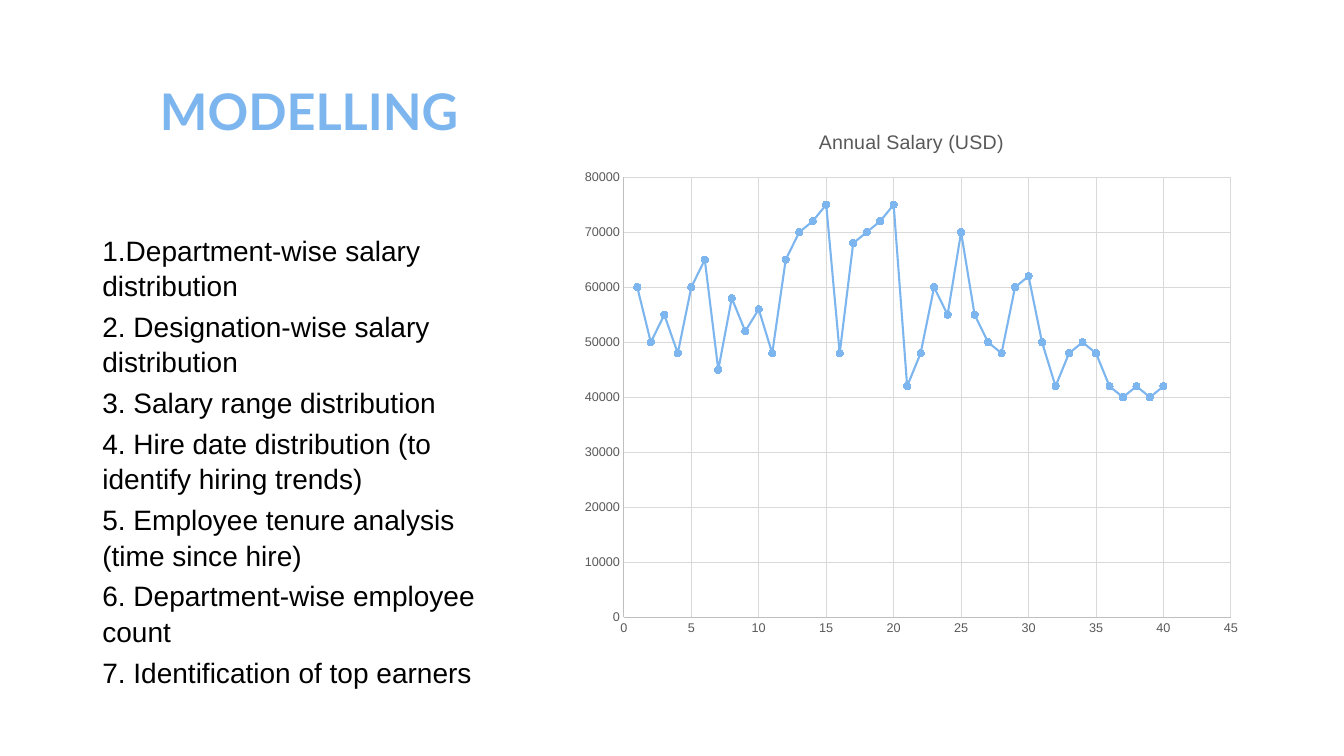
import pptx
import pptx.chart.data
import pptx.dml.color
import pptx.enum.chart
import pptx.enum.text
import pptx.util

SKY, GREY, AXIS, GRID, BLACK = "7DB6EF", "595959", "BFBFBF", "D9D9D9", "000000"
COLUMNS, ROWS = 16, 9

TOPICS = [
    "1.Department-wise salary distribution",
    "2. Designation-wise salary distribution",
    "3. Salary range distribution",
    "4. Hire date distribution (to identify hiring trends)",
    "5. Employee tenure analysis (time since hire)",
    "6. Department-wise employee count",
    "7. Identification of top earners",
]
# Salaries in thousands of dollars, one per employee
SALARIES = [
    60, 50, 55, 48, 60, 65, 45, 58, 52, 56, 48, 65, 70, 72, 75, 48, 68, 70, 72, 75,
    42, 48, 60, 55, 70, 55, 50, 48, 60, 62, 50, 42, 48, 50, 48, 42, 40, 42, 40, 42,
]


def rgb(value):
    return pptx.dml.color.RGBColor.from_string(value)


class SlideBuilder:
    """Holds the slide and its style; places are in grid columns and rows."""

    def __init__(self, presentation):
        self.column = presentation.slide_width / COLUMNS
        self.row = presentation.slide_height / ROWS
        self.slide = presentation.slides.add_slide(presentation.slide_layouts[6])

    def place(self, left, top, width, height):
        return (round(left * self.column), round(top * self.row),
                round(width * self.column), round(height * self.row))

    def style(self, font, size, color, name="Arial", bold=False):
        font.name, font.size, font.bold = name, pptx.util.Pt(size), bold
        font.color.rgb = rgb(color)

    def outline(self, line, color, width=0.75):
        line.color.rgb = rgb(color)
        line.width = pptx.util.Pt(width)

    def text(self, place, lines, size, color, name="Arial", bold=False,
             align="LEFT", anchor="TOP", before=0, spacing=1.0):
        frame = self.slide.shapes.add_textbox(*self.place(*place)).text_frame
        frame.word_wrap = True
        frame.vertical_anchor = pptx.enum.text.MSO_ANCHOR[anchor]
        for index, line in enumerate(lines):
            paragraph = frame.add_paragraph() if index else frame.paragraphs[0]
            paragraph.alignment = pptx.enum.text.PP_ALIGN[align]
            paragraph.space_before = pptx.util.Pt(before)
            paragraph.line_spacing = spacing
            run = paragraph.add_run()
            run.text = line
            self.style(run.font, size, color, name, bold)

    def axis(self, axis, maximum, step):
        axis.minimum_scale, axis.maximum_scale, axis.major_unit = 0, maximum, step
        axis.major_tick_mark = axis.minor_tick_mark = pptx.enum.chart.XL_TICK_MARK.NONE
        axis.has_major_gridlines = True
        self.outline(axis.major_gridlines.format.line, GRID)
        self.outline(axis.format.line, AXIS)
        self.style(axis.tick_labels.font, 9, GREY)

    def scatter(self, place, title, values, x_scale, y_scale):
        data = pptx.chart.data.XyChartData()
        points = data.add_series(title)
        for x, y in enumerate(values, start=1):
            points.add_data_point(x, y)
        chart = self.slide.shapes.add_chart(
            pptx.enum.chart.XL_CHART_TYPE.XY_SCATTER_LINES,
            *self.place(*place), data).chart
        self.style(chart.font, 10, BLACK)
        chart.has_legend = False

        # Chart title
        heading = chart.chart_title.text_frame.paragraphs[0].add_run()
        heading.text = title
        self.style(heading.font, 14, GREY)
        chart.chart_title.include_in_layout = False

        # Axes
        self.axis(chart.category_axis, *x_scale)
        self.axis(chart.value_axis, *y_scale)

        # Line and markers
        plot = chart.plots[0]
        plot.vary_by_categories = False
        series = plot.series[0]
        series.smooth = False
        self.outline(series.format.line, SKY, 1.5)
        marker = series.marker
        marker.style, marker.size = pptx.enum.chart.XL_MARKER_STYLE.CIRCLE, 5
        marker.format.fill.solid()
        marker.format.fill.fore_color.rgb = rgb(SKY)
        self.outline(marker.format.line, SKY)


def main():
    presentation = pptx.Presentation()
    presentation.slide_width = pptx.util.Inches(13.33)
    presentation.slide_height = pptx.util.Inches(7.5)
    builder = SlideBuilder(presentation)

    # Heading
    builder.text((1.1, 0.6, 5.16, 1.13), ["MODELLING"], 36, SKY, name="Lato",
                 bold=True, align="CENTER", anchor="BOTTOM")

    # Topics
    builder.text((1.1, 2.7, 5.16, 5), TOPICS, 20, BLACK, before=4, spacing=1.05)

    # Salary chart
    builder.scatter((6.8, 1.3, 8.1, 6.4), "Annual Salary (USD)",
                    [salary * 1000 for salary in SALARIES], (45, 5), (80000, 10000))

    presentation.save("out.pptx")


if __name__ == "__main__":
    main()
